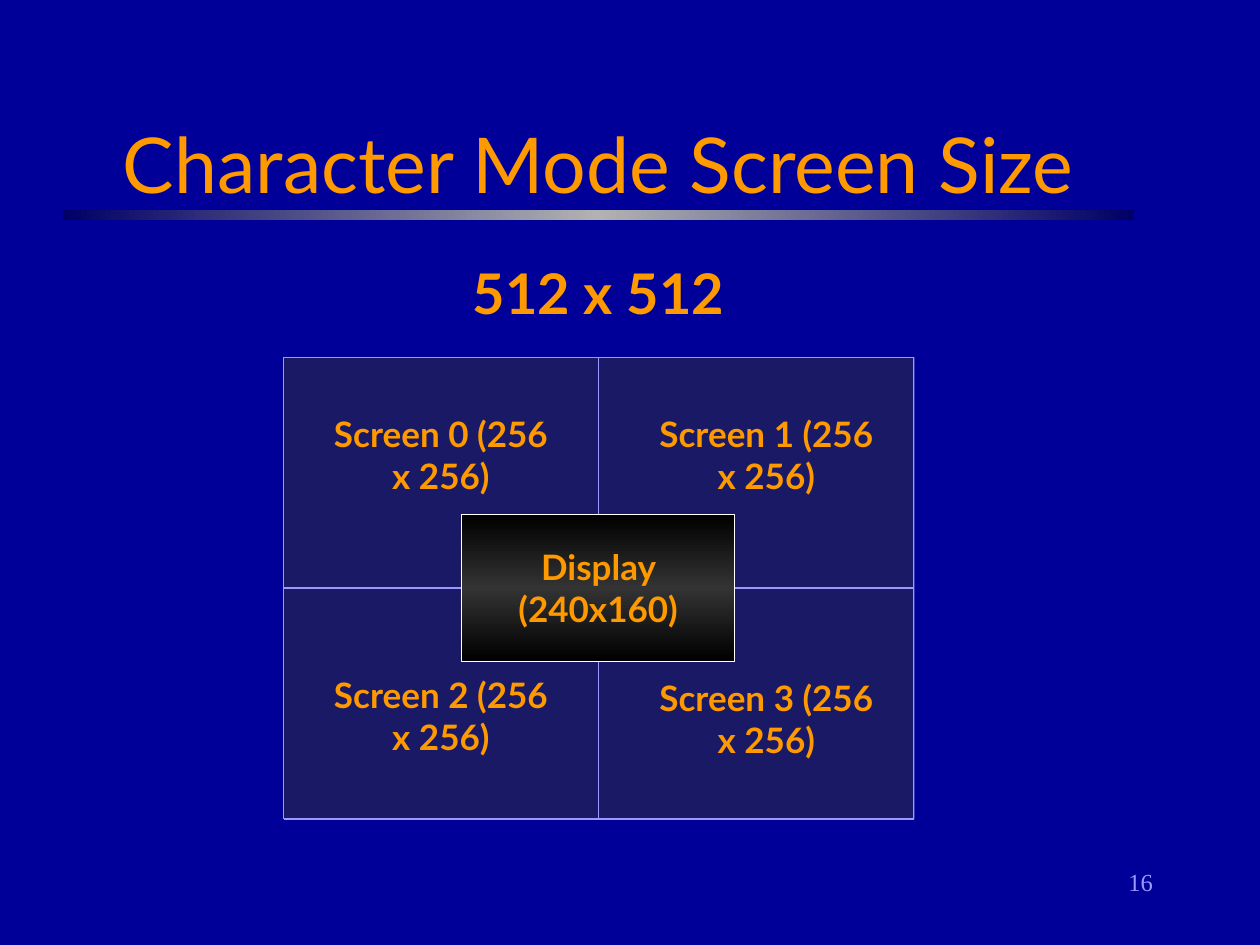
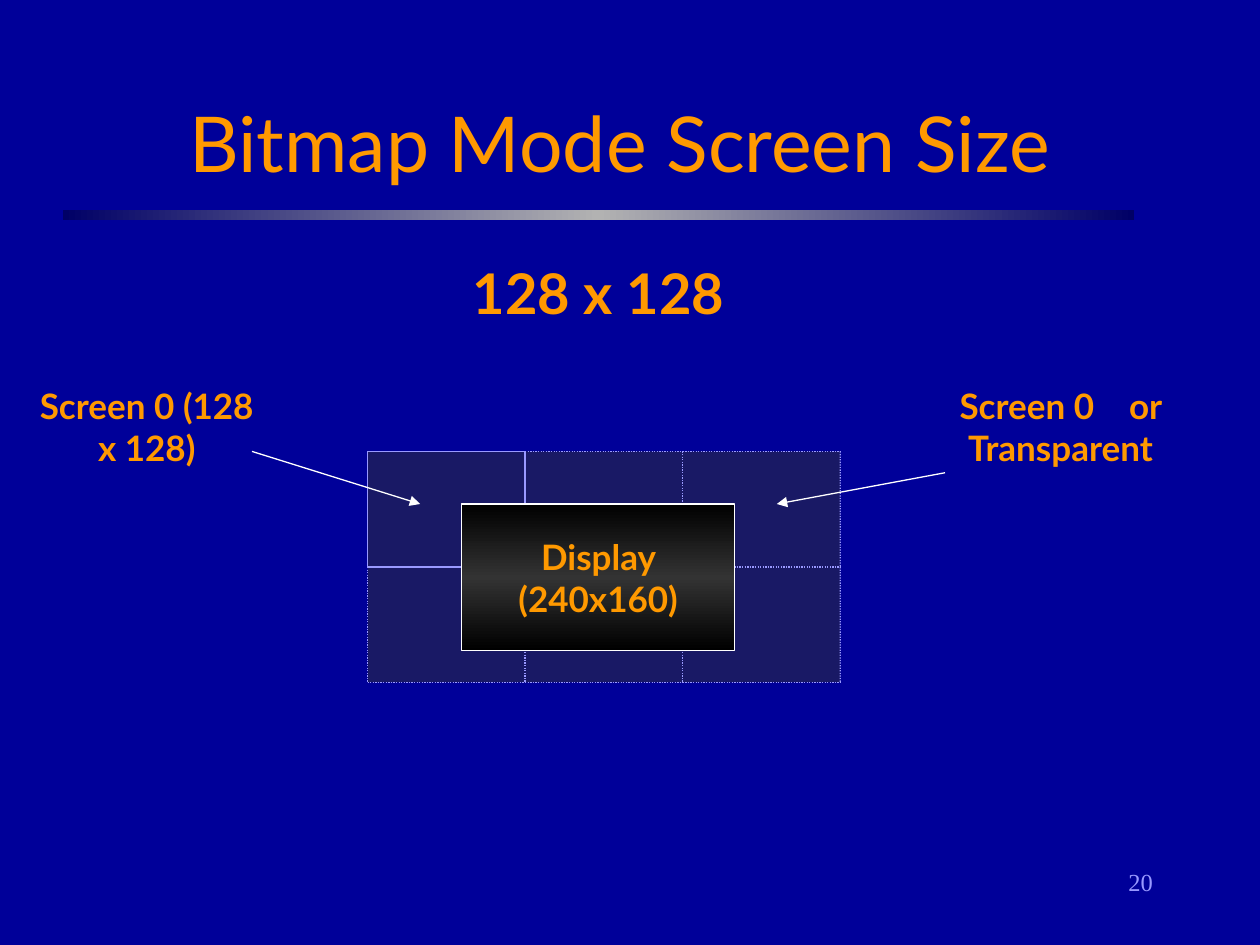
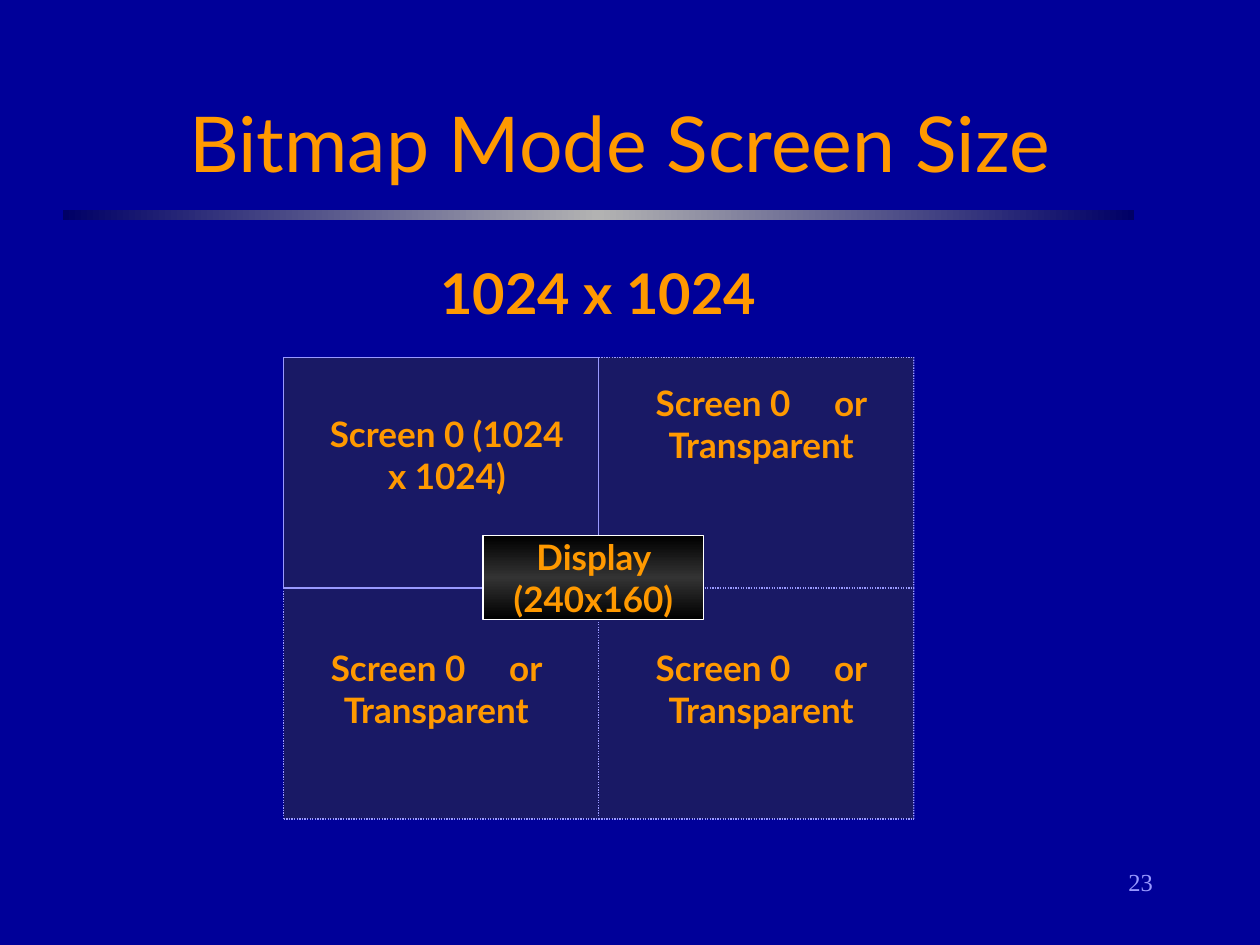
from copy import deepcopy

from lxml.etree import SubElement
from pptx import Presentation
from pptx.dml.color import RGBColor
from pptx.enum.dml import MSO_LINE
from pptx.enum.shapes import MSO_CONNECTOR, MSO_SHAPE
from pptx.enum.text import MSO_ANCHOR, PP_ALIGN
from pptx.oxml.ns import qn
from pptx.util import Cm, Pt

BLUE = RGBColor(0x00, 0x00, 0x99)
NAVY = RGBColor(0x00, 0x00, 0x66)
SILVER = RGBColor(0xB2, 0xB2, 0xB2)
ORANGE = RGBColor(0xFF, 0x99, 0x00)
LILAC = RGBColor(0x99, 0x99, 0xFF)
DARK = RGBColor(0x33, 0x33, 0x33)
BLACK = RGBColor(0x00, 0x00, 0x00)
WHITE = RGBColor(0xFF, 0xFF, 0xFF)

BODY_FONT = "Lato"
NUMBER_FONT = "Times New Roman"


def write_text(tf, text, size=20, bold=True, color=ORANGE, font=BODY_FONT,
               align=PP_ALIGN.CENTER, anchor=MSO_ANCHOR.TOP, gap_before="", gap=0):
    """Fill a text frame; the space in front of gap_before is widened by gap points."""
    tf.word_wrap = True
    tf.vertical_anchor = anchor
    p = tf.paragraphs[0]
    p.alignment = align
    pieces = [(text, 0)]
    if gap_before:
        head, space, tail = text.partition(" " + gap_before)
        pieces = [(head, 0), (" ", gap), (gap_before + tail, 0)]
    for piece, spacing in pieces:
        r = p.add_run()
        r.text = piece
        r.font.size = Pt(size)
        r.font.bold = bold
        r.font.name = font
        r.font.color.rgb = color
        if spacing:
            r._r.get_or_add_rPr().set("spc", str(spacing * 100))


def fill_gradient(sp, edge, middle, angle):
    """Fill a shape with a gradient that runs from edge to middle and back."""
    sp.fill.gradient()
    sp.fill.gradient_angle = angle
    first = sp._element.spPr.find(".//" + qn("a:gs"))
    first.addnext(deepcopy(first))
    for stop, color, position in zip(sp.fill.gradient_stops, (edge, middle, edge), (0, 0.5, 1)):
        stop.color.rgb = color
        stop.position = position


class Deck:
    """Holds the shared style and the slide being built; all lengths are in cm."""

    def __init__(self):
        self.prs = Presentation()
        self.prs.slide_width, self.prs.slide_height = Cm(25.4), Cm(19.05)
        background = self.prs.slide_master.background.fill
        background.solid()
        background.fore_color.rgb = BLUE
        self.s = None

    def new_slide(self, title, size, number, title_box=(1.07, 1.27, 22.86, 3.18)):
        self.s = self.prs.slides.add_slide(self.prs.slide_layouts[6])
        bar = self.rectangle(1.27, 4.23, 21.59, 0.21)
        fill_gradient(bar, NAVY, SILVER, 0)
        self.text(title, *title_box, size=44, bold=False, anchor=MSO_ANCHOR.MIDDLE)
        self.text(size, 1.27, 5.08, 21.59, 1.63, size=32)
        self.text(number, 18.2, 17.35, 5.29, 1.27, size=14, bold=False,
                  color=LILAC, font=NUMBER_FONT, align=PP_ALIGN.RIGHT)

    def text(self, text, left, top, width, height, **style):
        box = self.s.shapes.add_textbox(Cm(left), Cm(top), Cm(width), Cm(height))
        write_text(box.text_frame, text, **style)

    def label(self, text, left, top, width=5.08, **style):
        self.text(text, left, top, width, 1.96, **style)

    def rectangle(self, left, top, width, height):
        sp = self.s.shapes.add_shape(MSO_SHAPE.RECTANGLE, Cm(left), Cm(top), Cm(width), Cm(height))
        sp.shadow.inherit = False
        sp.line.fill.background()
        return sp

    def display(self, left, top, width=5.5, height=2.96):
        sp = self.rectangle(left, top, width, height)
        fill_gradient(sp, BLACK, DARK, 90)
        sp.line.color.rgb = WHITE
        sp.line.width = Pt(0.75)
        write_text(sp.text_frame, "Display (240x160)", anchor=MSO_ANCHOR.MIDDLE)

    def line(self, start, end, color=LILAC, dotted=False):
        cx = self.s.shapes.add_connector(MSO_CONNECTOR.STRAIGHT, *map(Cm, start + end))
        cx.line.color.rgb = color
        cx.line.width = Pt(0.75)
        if dotted:
            cx.line.dash_style = MSO_LINE.ROUND_DOT
        SubElement(cx._element.spPr, qn("a:effectLst"))
        return cx

    def arrow(self, start, end):
        cx = self.line(start, end, WHITE)
        SubElement(cx.line._get_or_add_ln(), qn("a:tailEnd"), type="triangle")

    def screen_grid(self, left, top, width, height, cols, rows=2, dotted=True):
        """Draw a translucent panel ruled into screens; only the first one is solid if dotted."""
        panel = self.rectangle(left, top, width, height)
        panel.fill.solid()
        panel.fill.fore_color.rgb = DARK
        color = panel._element.spPr.find(".//" + qn("a:srgbClr"))
        SubElement(color, qn("a:alpha"), val="50000")

        sides = {(cols / 2, 0): 0, (0, rows / 2): 1, (cols / 2, rows): 2, (cols, rows / 2): 3}
        across = [((c, r), (c + 1, r)) for r in range(rows + 1) for c in range(cols)]
        down = [((c, r), (c, r + 1)) for c in range(cols + 1) for r in range(rows)]
        for start, end in across + down:
            in_first_screen = max(end) <= 1
            ends = [(left + c * width / cols, top + r * height / rows) for c, r in (start, end)]
            cx = self.line(*ends, dotted=dotted and not in_first_screen)
            if start in sides:
                cx.begin_connect(panel, sides[start])
            if end in sides:
                cx.end_connect(panel, sides[end])


def character_mode(deck):
    deck.new_slide("Character Mode Screen Size", "512 x 512", "16", (1.27, 1.7, 21.59, 3.18))
    deck.screen_grid(5.72, 7.2, 12.7, 9.31, cols=2, dotted=False)
    deck.display(9.31, 10.37)
    corners = [(6.35, 8.2), (12.91, 8.2), (6.35, 13.46), (12.91, 13.51)]
    for i, corner in enumerate(corners):
        deck.label(f"Screen {i} (256 x 256)", *corner)


def small_bitmap_mode(deck):
    deck.new_slide("Bitmap Mode Screen Size", "128 x 128", "20")
    deck.screen_grid(7.41, 9.1, 9.53, 4.66, cols=3)
    deck.arrow((5.08, 9.1), (8.47, 10.16))
    deck.arrow((19.05, 9.53), (15.66, 10.16))
    deck.label("Screen 0 (128 x 128)", 0.42, 7.62)
    deck.label("Screen 0 or Transparent", 18.84, 7.62, gap_before="or", gap=15)
    deck.display(9.31, 10.16)


def large_bitmap_mode(deck):
    deck.new_slide("Bitmap Mode Screen Size", "1024 x 1024", "23")
    deck.screen_grid(5.72, 7.2, 12.7, 9.31, cols=2)
    deck.display(9.74, 10.8, 4.45, 1.69)
    deck.label("Screen 0 (1024 x 1024)", 6.15, 8.2, 5.72)
    for corner in [(12.7, 7.57), (6.15, 12.91), (12.7, 12.91)]:
        deck.label("Screen 0 or Transparent", *corner, 5.29, gap_before="or", gap=20)


def main():
    deck = Deck()
    character_mode(deck)
    small_bitmap_mode(deck)
    large_bitmap_mode(deck)
    deck.prs.save("out.pptx")


if __name__ == "__main__":
    main()
